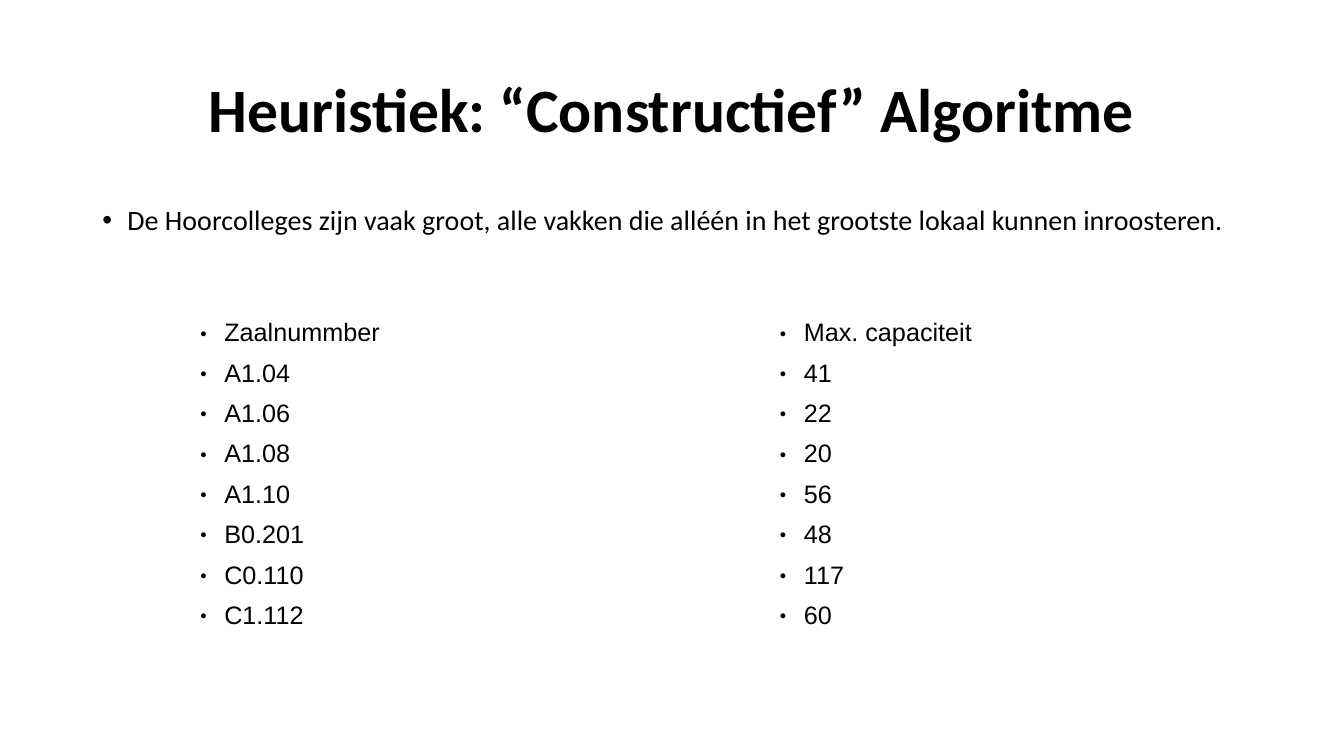
import pptx
import pptx.dml.color
import pptx.enum.text
import pptx.oxml.ns
import pptx.util
from lxml import etree

PX = 9525  # EMU per px, 96 px to the inch
COLORS = {"text": "000000", "background": "FFFFFF"}
ROOMS = [
    ("Zaalnummber", "Max. capaciteit"),
    ("A1.04", "41"),
    ("A1.06", "22"),
    ("A1.08", "20"),
    ("A1.10", "56"),
    ("B0.201", "48"),
    ("C0.110", "117"),
    ("C1.112", "60"),
]
MIDDLE = pptx.enum.text.MSO_ANCHOR.MIDDLE


def color(name):
    return pptx.dml.color.RGBColor.from_string(COLORS[name])


def format_text(paragraph, font_name, size, bold=False):
    for run in paragraph.runs:
        run.font.name = font_name
        run.font.size = pptx.util.Pt(size)
        run.font.bold = bold
        run.font.color.rgb = color("text")


def add_bullet(paragraph, character, indent, percent=100):
    properties = paragraph._p.get_or_add_pPr()
    properties.set("marL", str(indent * PX))
    properties.set("indent", str(-indent * PX))

    def add(tag, parent=properties, **attributes):
        return etree.SubElement(parent, pptx.oxml.ns.qn(tag), attributes)

    add("a:srgbClr", add("a:buClr"), val=COLORS["text"])
    add("a:buSzPct", val=str(percent * 1000))
    add("a:buFont", typeface="Arial")
    add("a:buChar", char=character)


def add_text(slide, box, text):
    shape = slide.shapes.add_textbox(*(length * PX for length in box))
    text_frame = shape.text_frame
    text_frame.word_wrap = True
    text_frame.text = text
    text_frame.paragraphs[0].line_spacing = 0.9
    return text_frame


def add_title(slide, box):
    text_frame = add_text(slide, box, "Heuristiek: “Constructief” Algoritme")
    text_frame.vertical_anchor = MIDDLE
    paragraph = text_frame.paragraphs[0]
    paragraph.alignment = pptx.enum.text.PP_ALIGN.CENTER
    format_text(paragraph, "Calibri", 44, bold=True)


def add_explanation(slide, box):
    text_frame = add_text(
        slide, box,
        "De Hoorcolleges zijn vaak groot, alle vakken die alléén in het "
        "grootste lokaal kunnen inroosteren.")
    paragraph = text_frame.paragraphs[0]
    add_bullet(paragraph, "•", 24)
    format_text(paragraph, "Calibri", 20)


def add_room_table(slide, box):
    table = slide.shapes.add_table(
        len(ROOMS), len(ROOMS[0]), *(length * PX for length in box)).table
    table.first_row = False
    table.horz_banding = False
    for row, values in zip(table.rows, ROOMS):
        for cell, value in zip(row.cells, values):
            cell.fill.solid()
            cell.fill.fore_color.rgb = color("background")
            cell.vertical_anchor = MIDDLE
            cell.text_frame.text = value
            paragraph = cell.text_frame.paragraphs[0]
            add_bullet(paragraph, "●", 23, percent=45)
            format_text(paragraph, "Arial", 18)


def main():
    presentation = pptx.Presentation()
    presentation.slide_width = 1280 * PX
    presentation.slide_height = 720 * PX
    slide = presentation.slides.add_slide(presentation.slide_layouts[6])
    slide.background.fill.solid()
    slide.background.fill.fore_color.rgb = color("background")

    # Heading and explanation
    add_title(slide, (88, 38, 1104, 139))
    add_explanation(slide, (88, 192, 1104, 457))
    # Rooms and their capacity
    add_room_table(slide, (181, 298, 1104, 307))

    presentation.save("out.pptx")


if __name__ == "__main__":
    main()
